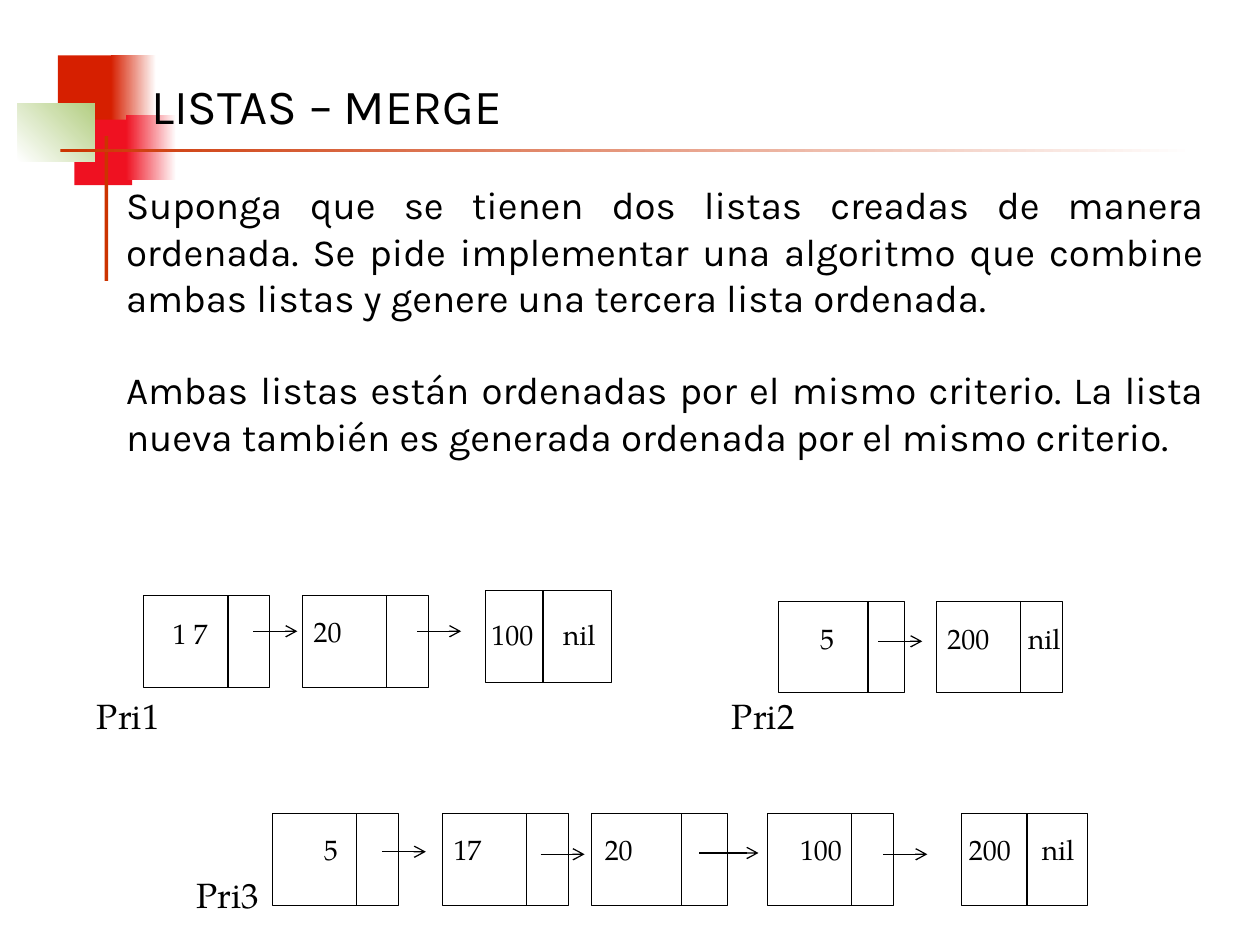
from lxml import etree
from pptx import Presentation
from pptx.dml.color import RGBColor
from pptx.enum.shapes import MSO_CONNECTOR, MSO_SHAPE
from pptx.enum.text import MSO_ANCHOR, MSO_AUTO_SIZE, PP_ALIGN
from pptx.oxml.ns import qn
from pptx.util import Pt

RECT = MSO_SHAPE.RECTANGLE
STRAIGHT = MSO_CONNECTOR.STRAIGHT
LEFT, JUSTIFY = PP_ALIGN.LEFT, PP_ALIGN.JUSTIFY
TOP, BOTTOM = MSO_ANCHOR.TOP, MSO_ANCHOR.BOTTOM
NO_FIT = MSO_AUTO_SIZE.NONE

PX = 9144  # 100 px to the inch
BLACK = "000000"
SANS, SERIF = "Karla", "TeX Gyre Pagella"
NODE_H = 73

TITLE = "LISTAS – MERGE"
BODY = [
    "Suponga que se tienen dos listas creadas de manera ordenada. Se pide implementar "
    "una algoritmo que combine ambas listas y genere una tercera lista ordenada.",
    "Ambas listas están ordenadas por el mismo criterio. La lista nueva también es "
    "generada ordenada por el mismo criterio.",
]

# left, top, width, height, colours from start to end, angle
DECOR = [
    (46, 44, 48, 52, ["D61F00"], 0),
    (88, 44, 36, 52, ["D61F00", "FFFFFF"], 0),
    (59, 95, 46, 52, ["EF1121"], 0),
    (100, 91, 40, 52, ["EF1121", "FFFFFF"], 0),
    (14, 82, 61, 46, ["FFFFFF", "B3CE82"], 45),
    (83, 108, 3, 115, ["CC3300"], 0),
    (48, 118, 900, 3, ["CC3300", "FFFFFF"], 0),
]

# Each list: name, left, top, name offset, nodes.
# Each node, from the list's corner: x, y, width, divider, value, value x, value y, link.
# Link, from the node's corner: (x, y, length) of its arrow, or the x of "nil".
LISTS = [
    ("Pri1", 114, 473, (-37, 78), [
        (0, 0, 100, 67, "1 7", 23, 16, (87, 28, 35)),
        (126, 0, 100, 67, "20", 9, 15, (91, 28, 35)),
        (271, -4, 100, 46, "100", 5, 21, 62),
    ]),
    ("Pri2", 618, 477, (-37, 74), [
        (0, 0, 100, 71, "5", 33, 16, (79, 32, 35)),
        (125, 0, 100, 67, "200", 9, 16, 73),
    ]),
    ("Pri3", 216, 646, (-60, 47), [
        (0, 0, 100, 67, "5", 41, 15, (87, 30, 35)),
        (135, 0, 100, 67, "17", 9, 15, (78, 32, 35)),
        (253, 0, 108, 72, "20", 11, 15, (86, 31, 47)),
        (393, 0, 100, 67, "100", 26, 15, (92, 32, 35)),
        (547, 0, 100, 52, "200", 6, 15, 64),
    ]),
]


def px(*values):
    return [v * PX for v in values]


def rgb(value):
    return RGBColor.from_string(value)


def set_all(obj, values):
    for name, value in values.items():
        setattr(obj, name, value)


def place(shape, x, y, w, h):
    set_all(shape, dict(zip(("left", "top", "width", "height"), px(x, y, w, h))))


def write(p, text, size, font):
    r = p.add_run()
    r.text = text
    set_all(r.font, {"size": Pt(size), "name": font, "bold": False})
    r.font.color.rgb = rgb(BLACK)


def add_rect(s, x, y, w, h):
    shape = s.shapes.add_shape(RECT, *px(x, y, w, h))
    shape.shadow.inherit = False
    return shape


def add_label(s, x, y, text, size):
    tf = s.shapes.add_textbox(*px(x, y, 60, 30)).text_frame
    set_all(tf, {"margin_left": 0, "margin_top": 0, "margin_right": 0,
                 "margin_bottom": 0, "word_wrap": False})
    write(tf.paragraphs[0], text, size, SERIF)


def add_line(s, x1, y1, x2, y2, arrow=False):
    line = s.shapes.add_connector(STRAIGHT, *px(x1, y1, x2, y2))
    line.line.width = Pt(0.75)
    line.line.color.rgb = rgb(BLACK)
    if arrow:
        etree.SubElement(line.line._get_or_add_ln(), qn("a:tailEnd"), type="arrow")
    etree.SubElement(line._element.spPr, qn("a:effectLst"))


def add_decor(s):
    for x, y, w, h, colors, angle in DECOR:
        shape = add_rect(s, x, y, w, h)
        shape.line.fill.background()
        fill = shape.fill
        if len(colors) == 1:
            fill.solid()
            fill.fore_color.rgb = rgb(colors[0])
            continue
        fill.gradient()
        fill.gradient_angle = angle
        for stop, color in zip(fill.gradient_stops, colors):
            stop.color.rgb = rgb(color)


def add_title(s, x, y, w, h):
    title = s.shapes.title
    place(title, x, y, w, h)
    tf = title.text_frame
    set_all(tf, {"vertical_anchor": BOTTOM, "auto_size": NO_FIT, "word_wrap": True})
    p = tf.paragraphs[0]
    p.alignment = LEFT
    write(p, TITLE, 28, SANS)
    s.shapes._spTree.append(title._element)  # in front of the decoration


def add_body(s, x, y, w, h):
    body = s.placeholders[1]
    place(body, x, y, w, h)
    tf = body.text_frame
    set_all(tf, {"vertical_anchor": TOP, "auto_size": NO_FIT, "word_wrap": True})
    for i, text in enumerate(BODY):
        p = tf.add_paragraph() if i else tf.paragraphs[0]
        pPr = p._p.get_or_add_pPr()
        pPr.set("marL", "0")
        pPr.set("indent", "0")
        etree.SubElement(pPr, qn("a:buNone"))
        set_all(p, {"alignment": JUSTIFY, "space_before": Pt(26.5 if i else 0)})
        write(p, text, 22, SANS)
    s.shapes._spTree.append(body._element)


def add_node(s, x, y, w, divider, value, value_x, value_y, link):
    box = add_rect(s, x, y, w, NODE_H)
    box.fill.background()
    box.line.width = Pt(0.5)
    box.line.color.rgb = rgb(BLACK)
    add_line(s, x + divider, y, x + divider, y + NODE_H)
    add_label(s, x + value_x, y + value_y, value, 16)
    if isinstance(link, tuple):
        dx, dy, length = link
        add_line(s, x + dx, y + dy, x + dx + length, y + dy, arrow=True)
    else:
        add_label(s, x + link, y + value_y, "nil", 16)


def add_list(s, name, x, y, name_offset, nodes):
    dx, dy = name_offset
    add_label(s, x + dx, y + dy, name, 20)
    for node_x, node_y, *rest in nodes:
        add_node(s, x + node_x, y + node_y, *rest)


def main():
    prs = Presentation()
    prs.slide_width, prs.slide_height = px(1000, 750)
    s = prs.slides.add_slide(prs.slide_layouts[1])
    add_decor(s)
    add_title(s, 110, 21, 933, 91)
    add_body(s, 90, 139, 875, 267)
    for linked_list in LISTS:
        add_list(s, *linked_list)
    prs.save("out.pptx")


if __name__ == "__main__":
    main()
